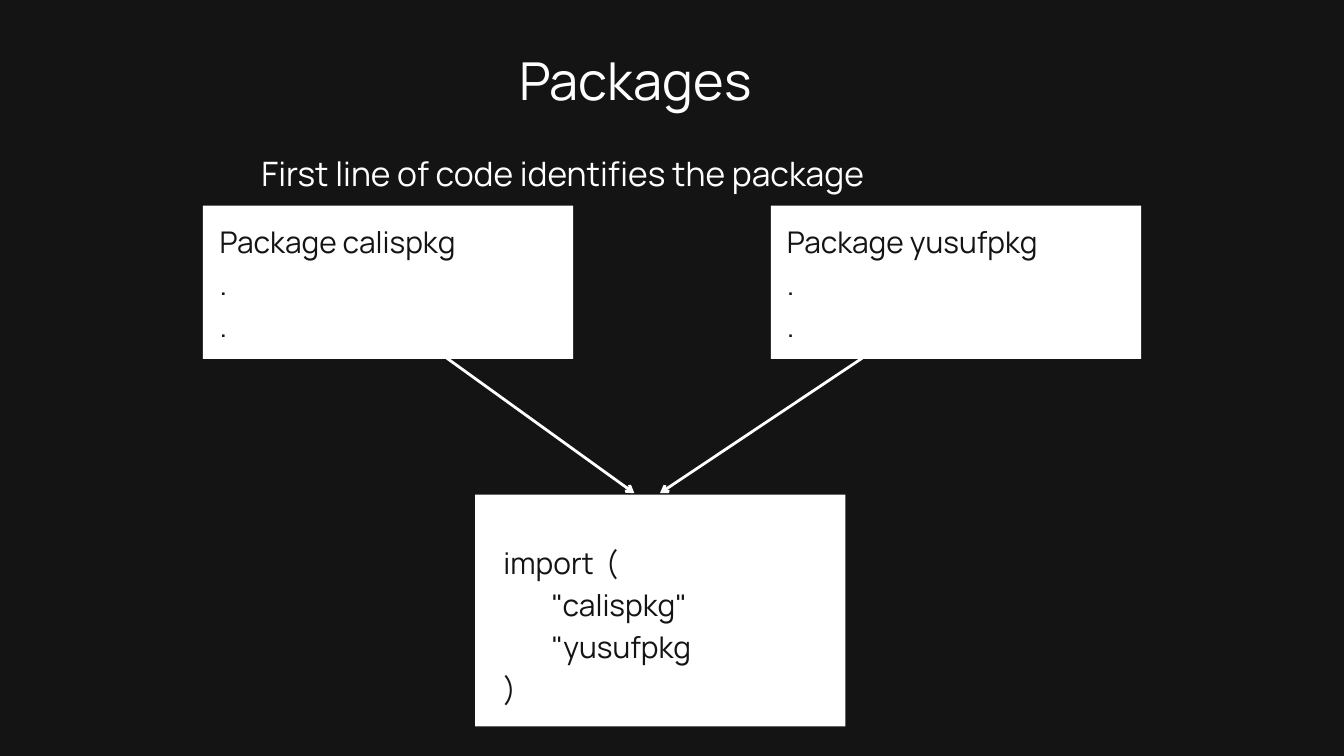
from dataclasses import dataclass

from pptx import Presentation
from pptx import util as u
from pptx.dml.color import RGBColor
from pptx.enum import shapes, text
from pptx.oxml.ns import qn
from lxml import etree


@dataclass(frozen=True)
class Theme:
    font: str = "Manrope"
    dark: RGBColor = RGBColor(0x14, 0x14, 0x14)
    light: RGBColor = RGBColor(0xFF, 0xFF, 0xFF)
    title_size: float = 56
    subtitle_size: float = 36
    code_size: float = 32
    title_spacing: float = 79
    subtitle_spacing: float = 50.8
    code_spacing: float = 45.1
    arrow_width: float = 3


@dataclass(frozen=True)
class Box:
    left: float
    top: float
    width: float
    height: float

    def lengths(self) -> list[int]:
        return [u.Inches(v) for v in (self.left, self.top, self.width, self.height)]


@dataclass(frozen=True)
class Line:
    content: str
    indent: float = 0


@dataclass(frozen=True)
class CodeCard:
    panel: Box
    label: Box
    lines: tuple[Line, ...]


@dataclass(frozen=True)
class Arrow:
    start: tuple[float, float]
    end: tuple[float, float]


THEME = Theme()
PANEL_WIDTH, LABEL_WIDTH = 5.51, 5.02


def package_card(left: float, label_left: float, name: str) -> CodeCard:
    """A source file that opens with its package line."""
    return CodeCard(Box(left, 3.06, PANEL_WIDTH, 2.28),
                    Box(label_left, 3.23, LABEL_WIDTH, 1.86),
                    (Line(f"Package {name}"), Line("."), Line(".")))


CARDS = (
    package_card(3.02, 3.27, "calispkg"),
    package_card(11.47, 11.71, "yusufpkg"),
    CodeCard(Box(7.07, 7.36, PANEL_WIDTH, 3.45),
             Box(7.49, 8.01, LABEL_WIDTH, 2.49),
             (Line("import  ("), Line('"calispkg"', 0.72),
              Line('"yusufpkg', 0.72), Line(")"))),
)
ARROWS = (Arrow((6.65, 5.33), (9.44, 7.34)), Arrow((12.83, 5.33), (9.82, 7.34)))


def apply(target: object, values: dict[str, object]) -> None:
    for name, value in values.items():
        setattr(target, name, value)


def write(shape, lines: tuple[Line, ...], size: float, spacing: float,
          color: RGBColor, align=text.PP_ALIGN.LEFT) -> None:
    frame = shape.text_frame
    apply(frame, dict(margin_left=0, margin_top=0, margin_right=0, margin_bottom=0,
                      word_wrap=True, auto_size=text.MSO_AUTO_SIZE.NONE,
                      vertical_anchor=text.MSO_ANCHOR.TOP))
    for index, line in enumerate(lines):
        paragraph = frame.add_paragraph() if index else frame.paragraphs[0]
        apply(paragraph, dict(alignment=align, line_spacing=u.Pt(spacing),
                              space_before=u.Pt(0)))
        if line.indent:
            paragraph._p.get_or_add_pPr().set("marL", str(u.Inches(line.indent)))
        run = paragraph.add_run()
        run.text = line.content
        apply(run.font, dict(name=THEME.font, size=u.Pt(size)))
        run.font.color.rgb = color


def add_panel(slide, box: Box) -> None:
    shape = slide.shapes.add_shape(shapes.MSO_SHAPE.RECTANGLE, *box.lengths())
    shape.shadow.inherit = False
    shape.fill.solid()
    shape.fill.fore_color.rgb = THEME.light
    shape.line.fill.background()


def add_arrow(slide, arrow: Arrow) -> None:
    points = [u.Inches(v) for v in (*arrow.start, *arrow.end)]
    connector = slide.shapes.add_connector(shapes.MSO_CONNECTOR.STRAIGHT, *points)
    connector.line.color.rgb = THEME.light
    connector.line.width = u.Pt(THEME.arrow_width)
    etree.SubElement(connector.line._get_or_add_ln(), qn("a:tailEnd"), type="arrow")
    etree.SubElement(connector._element.spPr, qn("a:effectLst"))


def main() -> None:
    presentation = Presentation()
    apply(presentation, dict(slide_width=u.Inches(20), slide_height=u.Inches(11.25)))
    slide = presentation.slides.add_slide(presentation.slide_layouts[5])
    slide.background.fill.solid()
    slide.background.fill.fore_color.rgb = THEME.dark

    # Title and subtitle
    title = slide.shapes.title
    apply(title, dict(zip(("left", "top", "width", "height"),
                          Box(4.16, 0.55, 10.6, 1.04).lengths())))
    write(title, (Line("Packages"),), THEME.title_size, THEME.title_spacing,
          THEME.light, text.PP_ALIGN.CENTER)
    subtitle = slide.shapes.add_textbox(*Box(3.89, 2.17, 10.6, 0.67).lengths())
    write(subtitle, (Line("First line of code identifies the package"),),
          THEME.subtitle_size, THEME.subtitle_spacing, THEME.light)

    # Package files and the file that imports them
    for card in CARDS:
        add_panel(slide, card.panel)
        label = slide.shapes.add_textbox(*card.label.lengths())
        write(label, card.lines, THEME.code_size, THEME.code_spacing, THEME.dark)

    # Arrows from each package to the import
    for arrow in ARROWS:
        add_arrow(slide, arrow)

    presentation.save("out.pptx")


if __name__ == "__main__":
    main()
